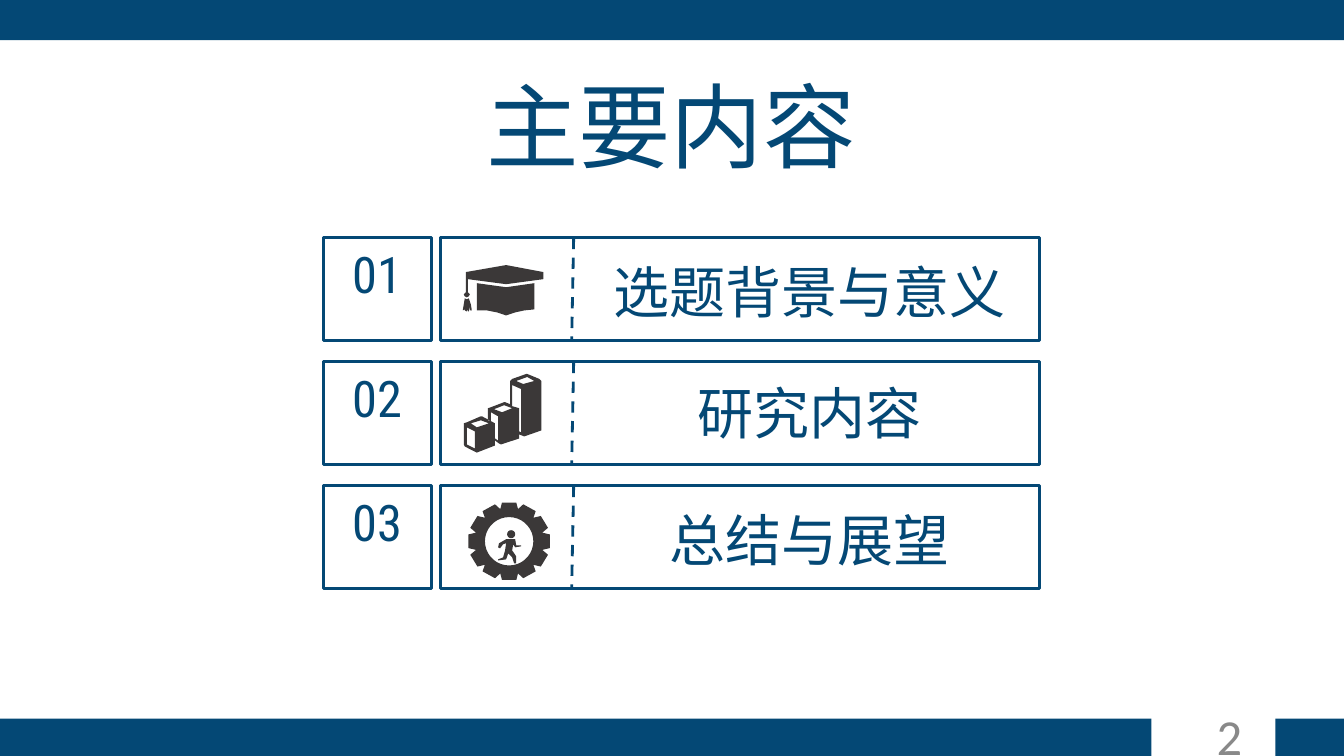
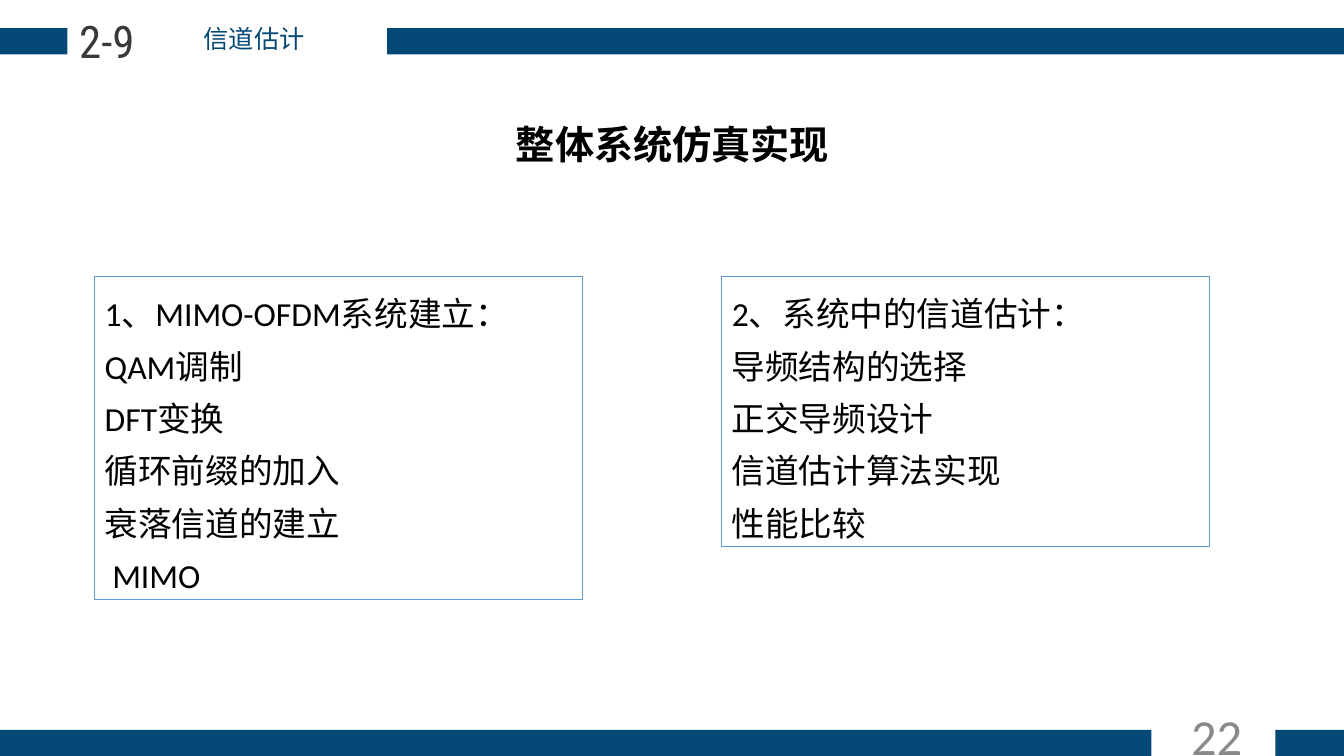
from dataclasses import dataclass
from math import cos, radians, sin

from lxml import etree
from pptx import Presentation
from pptx.dml.color import RGBColor
from pptx.enum.dml import MSO_LINE
from pptx.enum.shapes import MSO_CONNECTOR, MSO_SHAPE
from pptx.enum.text import MSO_ANCHOR, MSO_AUTO_SIZE, PP_ALIGN
from pptx.oxml.ns import qn
from pptx.util import Inches, Pt

LEFT, CENTER, RIGHT = PP_ALIGN.LEFT, PP_ALIGN.CENTER, PP_ALIGN.RIGHT
TOP, MIDDLE = MSO_ANCHOR.TOP, MSO_ANCHOR.MIDDLE
RECTANGLE = MSO_SHAPE.RECTANGLE
STRAIGHT = MSO_CONNECTOR.STRAIGHT
DASH = MSO_LINE.DASH
NO_AUTOFIT = MSO_AUTO_SIZE.NONE

COLORS = {
    "navy": "044875",
    "charcoal": "3B3838",
    "gray": "898989",
    "black": "000000",
    "sky": "5B9BD5",
}
BODY_FONT = "Calibri"
CHINESE_FONT = "Noto Sans CJK SC"
NUMBER_FONT = "Roboto Condensed"

SLIDE_WIDTH, SLIDE_HEIGHT = 13.33, 7.5
TITLE_ONLY = 5

Point = tuple[float, float]
Contours = list[list[Point]]


@dataclass(frozen=True)
class Box:
    left: float
    top: float
    width: float
    height: float

    def lengths(self) -> tuple:
        return tuple(Inches(n) for n in (self.left, self.top, self.width, self.height))


@dataclass(frozen=True)
class TextStyle:
    size: float
    color: str
    font: str = BODY_FONT
    align: PP_ALIGN = CENTER
    anchor: MSO_ANCHOR = TOP
    bold: bool = False
    line_spacing: float = 1.0


@dataclass(frozen=True)
class AgendaRow:
    number: str
    label: str
    label_offset: float
    icon: Contours


@dataclass(frozen=True)
class Panel:
    box: Box
    lines: list[str]


AGENDA_TITLE = TextStyle(66, "navy")
AGENDA_LABEL = TextStyle(40, "navy", CHINESE_FONT)
AGENDA_NUMBER = TextStyle(36, "navy", NUMBER_FONT)
SECTION_NUMBER = TextStyle(32, "charcoal", NUMBER_FONT)
SECTION_NAME = TextStyle(18, "navy", CHINESE_FONT)
CONTENT_TITLE = TextStyle(28, "black", bold=True)
PANEL_TEXT = TextStyle(24, "black", align=LEFT, line_spacing=1.3)
PAGE_NUMBER = TextStyle(36, "gray", align=RIGHT, anchor=MIDDLE)

ROW_TOP, ROW_PITCH, ROW_HEIGHT = 2.36, 1.23, 1.02


def arc_point(center: Point, radius_x: float, radius_y: float, degrees: float) -> Point:
    angle = radians(degrees)
    return center[0] + radius_x * cos(angle), center[1] + radius_y * sin(angle)


def circle(center: Point, radius: float, steps: int = 36) -> list[Point]:
    return [arc_point(center, radius, radius, 360 * i / steps) for i in range(steps)]


def gear(center: Point, teeth: int = 12) -> list[Point]:
    """Outline of a gear whose teeth narrow towards their tips."""
    profile = [(-15, 0.34, 0.33), (-10, 0.41, 0.39), (10, 0.41, 0.39), (15, 0.34, 0.33)]
    return [
        arc_point(center, radius_x, radius_y, 360 * tooth / teeth + offset)
        for tooth in range(teeth)
        for offset, radius_x, radius_y in profile
    ]


GRADUATION_CAP: Contours = [
    [(4.73, 3.08), (4.83, 3.08), (4.93, 3.1), (5.02, 3.13), (5.11, 3.1),
     (5.2, 3.08), (5.3, 3.07), (5.3, 2.81), (5.02, 2.85), (4.73, 2.81)],
    [(5.39, 2.7), (5.39, 2.77), (5.02, 2.82), (4.64, 2.77), (4.64, 2.9),
     (4.66, 2.92), (4.65, 2.94), (4.63, 2.95), (4.61, 2.94), (4.6, 2.92),
     (4.62, 2.9), (4.62, 2.7), (5.02, 2.63)],
    [(4.65, 2.96), (4.63, 2.97), (4.61, 2.96), (4.59, 3.08), (4.61, 3.07),
     (4.61, 3.08), (4.63, 3.09), (4.64, 3.07), (4.64, 3.09), (4.65, 3.09),
     (4.65, 3.03), (4.66, 3.08), (4.68, 3.08), (4.67, 3.02)],
]
BAR_BLOCKS: Contours = [
    [(5.12, 3.78), (5.19, 3.81), (5.3, 3.78), (5.23, 3.74)],
    [(4.71, 4.28), (4.63, 4.24), (4.63, 4.41), (4.71, 4.45)],
    [(4.9, 4.06), (4.98, 4.09), (5.08, 4.05), (5, 4.02)],
    [(4.84, 4.05), (4.87, 4.04), (5, 3.99), (5.01, 3.99), (5.06, 4.01),
     (5.06, 3.78), (5.08, 3.76), (5.22, 3.71), (5.23, 3.71), (5.35, 3.76),
     (5.37, 3.78), (5.37, 4.27), (5.2, 4.33), (5.15, 4.31), (5.15, 4.35),
     (4.97, 4.41), (4.95, 4.4), (4.91, 4.37), (4.91, 4.42), (4.73, 4.49),
     (4.61, 4.43), (4.6, 4.41), (4.6, 4.2), (4.63, 4.19), (4.77, 4.13),
     (4.78, 4.13), (4.91, 4.2), (4.91, 4.35), (4.94, 4.37), (4.94, 4.13),
     (4.87, 4.09), (4.87, 4.18), (4.84, 4.17)],
    [(5.08, 4.03), (5.15, 4.05), (5.15, 4.28), (5.17, 4.29), (5.17, 3.86),
     (5.08, 3.82)],
    [(4.67, 4.2), (4.73, 4.24), (4.85, 4.2), (4.77, 4.17)],
]
GEAR_CENTER = (5.05, 5.37)
RUNNER_GEAR: Contours = [
    gear(GEAR_CENTER),
    circle(GEAR_CENTER, 0.24),
    circle((5.07, 5.3), 0.04, 16),
    [(4.94, 5.43), (4.95, 5.39), (5.02, 5.35), (5.11, 5.35), (5.12, 5.41),
     (5.17, 5.41), (5.17, 5.42), (5.11, 5.43), (5.09, 5.4), (5.08, 5.46),
     (5.12, 5.52), (5.12, 5.59), (5.1, 5.59), (5.08, 5.53), (5.04, 5.49),
     (5.02, 5.55), (4.94, 5.56), (4.94, 5.55), (4.99, 5.53), (5.01, 5.46),
     (5.02, 5.39), (4.99, 5.4), (4.96, 5.44)],
]

AGENDA_ROWS = [
    AgendaRow("01", "选题背景与意义", 0.15, GRADUATION_CAP),
    AgendaRow("02", "研究内容", 0.12, BAR_BLOCKS),
    AgendaRow("03", "总结与展望", 0.15, RUNNER_GEAR),
]
PANELS = [
    Panel(Box(0.94, 2.74, 4.84, 3.21),
          ["1、MIMO-OFDM系统建立：", "QAM调制", "DFT变换", "循环前缀的加入",
           "衰落信道的建立", " MIMO"]),
    Panel(Box(7.16, 2.74, 4.84, 2.68),
          ["2、系统中的信道估计：", "导频结构的选择", "正交导频设计",
           "信道估计算法实现", "性能比较"]),
]


def rgb(name: str) -> RGBColor:
    return RGBColor.from_string(COLORS[name])


def write_text(shape, lines: list[str], style: TextStyle) -> None:
    frame = shape.text_frame
    frame.text = "\n".join(lines)
    frame.word_wrap = True
    frame.auto_size = NO_AUTOFIT
    frame.vertical_anchor = style.anchor
    for paragraph in frame.paragraphs:
        paragraph.alignment = style.align
        paragraph.line_spacing = style.line_spacing
        for run in paragraph.runs:
            font = run.font
            font.size = Pt(style.size)
            font.bold = style.bold
            font.color.rgb = rgb(style.color)
            font.name = style.font
            east_asian = etree.SubElement(font._element, qn("a:ea"))
            east_asian.set("typeface", CHINESE_FONT)


def add_text(slide, box: Box, lines: list[str], style: TextStyle):
    shape = slide.shapes.add_textbox(*box.lengths())
    write_text(shape, lines, style)
    return shape


def set_title(slide, box: Box, text: str, style: TextStyle) -> None:
    title = slide.shapes.title
    title.left, title.top, title.width, title.height = box.lengths()
    write_text(title, [text], style)


def add_band(slide, box: Box) -> None:
    shape = slide.shapes.add_shape(RECTANGLE, *box.lengths())
    shape.shadow.inherit = False
    shape.fill.solid()
    shape.fill.fore_color.rgb = rgb("navy")
    shape.line.fill.background()


def add_frame(slide, box: Box) -> None:
    shape = slide.shapes.add_shape(RECTANGLE, *box.lengths())
    shape.shadow.inherit = False
    shape.fill.background()
    shape.line.color.rgb = rgb("navy")
    shape.line.width = Pt(2)


def add_dashed_line(slide, start: Point, end: Point) -> None:
    ends = [Inches(n) for n in (*start, *end)]
    connector = slide.shapes.add_connector(STRAIGHT, *ends)
    connector.line.color.rgb = rgb("navy")
    connector.line.width = Pt(2)
    connector.line.dash_style = DASH
    etree.SubElement(connector._element.spPr, qn("a:effectLst"))


def add_icon(slide, contours: Contours) -> None:
    """Draw all contours as one shape, so that inner ones become holes."""
    builder = None
    for contour in contours:
        start, *others = [(Inches(x), Inches(y)) for x, y in contour]
        if builder is None:
            builder = slide.shapes.build_freeform(*start)
        else:
            builder.move_to(*start)
        builder.add_line_segments(others, close=True)
    shape = builder.convert_to_shape()
    shape.shadow.inherit = False
    shape.fill.solid()
    shape.fill.fore_color.rgb = rgb("charcoal")
    shape.line.fill.background()


def add_footer(slide, page: str, height: float) -> None:
    top = SLIDE_HEIGHT - height
    add_band(slide, Box(0, top, 11.42, height))
    add_band(slide, Box(12.65, top, 0.68, height))
    add_text(slide, Box(9.42, 7.1, 3, 0.4), [page], PAGE_NUMBER)


def add_agenda_row(slide, row: AgendaRow, top: float) -> None:
    add_frame(slide, Box(3.21, top, 1.07, ROW_HEIGHT))
    add_frame(slide, Box(4.37, top, 5.94, ROW_HEIGHT))
    add_dashed_line(slide, (5.69, top), (5.67, top + ROW_HEIGHT))
    add_icon(slide, row.icon)
    add_text(slide, Box(3.05, top, 1.38, 0.71), [row.number], AGENDA_NUMBER)
    label_box = Box(5.9, top + row.label_offset, 4.26, 0.77)
    add_text(slide, label_box, [row.label], AGENDA_LABEL)


def build_agenda(slide) -> None:
    add_band(slide, Box(0, 0, SLIDE_WIDTH, 0.4))
    set_title(slide, Box(3, 0.64, 7.31, 1.21), "主要内容", AGENDA_TITLE)
    for index, row in enumerate(AGENDA_ROWS):
        add_agenda_row(slide, row, ROW_TOP + index * ROW_PITCH)
    add_footer(slide, "2", 0.37)


def build_simulation(slide) -> None:
    add_band(slide, Box(0, 0.28, 0.67, 0.26))
    add_band(slide, Box(3.84, 0.28, 9.49, 0.26))
    add_text(slide, Box(0.72, 0.18, 3.6, 0.4), ["信道估计"], SECTION_NAME)
    add_text(slide, Box(0.6, 0.09, 0.92, 0.64), ["2-9"], SECTION_NUMBER)
    set_title(slide, Box(4.25, 1.14, 4.84, 0.57), "整体系统仿真实现", CONTENT_TITLE)
    for panel in PANELS:
        shape = add_text(slide, panel.box, panel.lines, PANEL_TEXT)
        shape.line.color.rgb = rgb("sky")
        shape.line.width = Pt(0.75)
    add_footer(slide, "22", 0.26)


def main() -> None:
    presentation = Presentation()
    presentation.slide_width = Inches(SLIDE_WIDTH)
    presentation.slide_height = Inches(SLIDE_HEIGHT)
    for build in (build_agenda, build_simulation):
        build(presentation.slides.add_slide(presentation.slide_layouts[TITLE_ONLY]))
    presentation.save("out.pptx")


if __name__ == "__main__":
    main()
